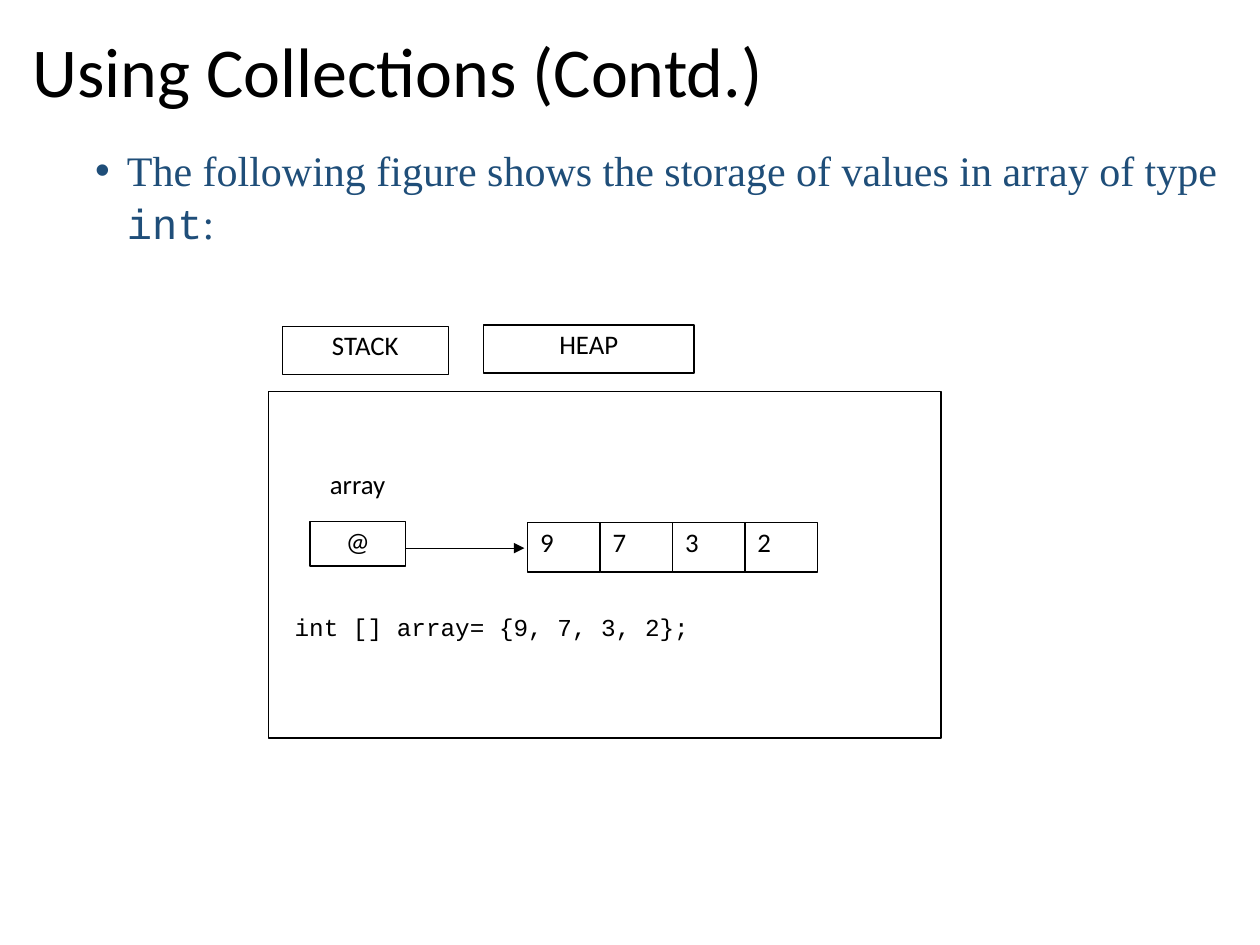
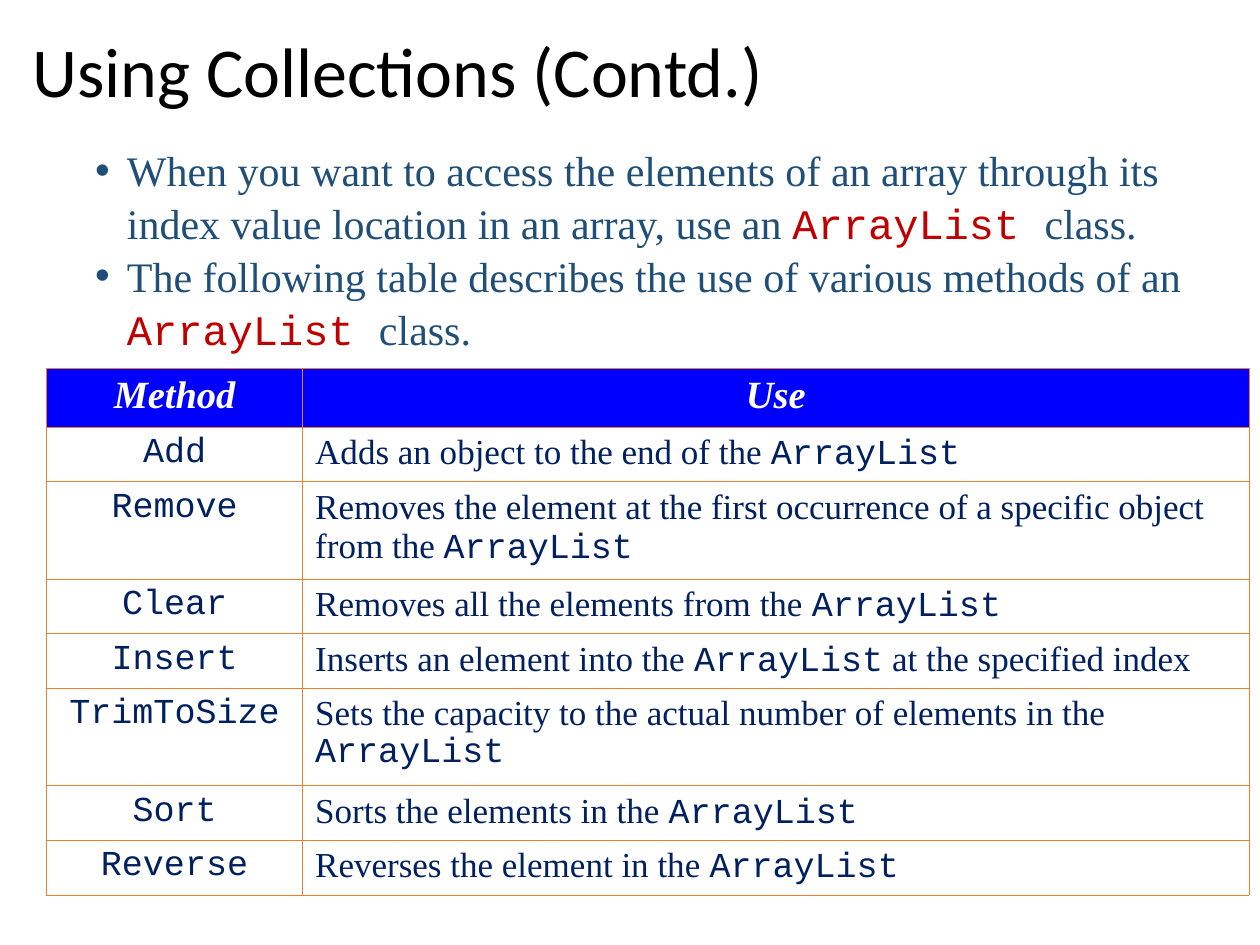
import lxml.etree
import pptx
import pptx.dml.color
import pptx.enum.shapes
import pptx.enum.text
import pptx.oxml.ns
import pptx.util

Cm = pptx.util.Cm
Pt = pptx.util.Pt
ALIGN = pptx.enum.text.PP_ALIGN
ANCHOR = pptx.enum.text.MSO_ANCHOR
qn = pptx.oxml.ns.qn

BLACK, WHITE, NAVY = "000000", "FFFFFF", "002060"
STEEL, RED, BLUE, ORANGE = "1F4E79", "C00000", "0000FF", "ED7D31"
SANS, SERIF, MONO = "Calibri", "Times New Roman", "Courier New"

TITLE = {"name": SANS, "size": Pt(40), "color": BLACK}
BODY = {"name": SERIF, "size": Pt(24), "color": STEEL}
LABEL = {"name": SANS, "size": Pt(15.3), "color": BLACK}
CODE = {"name": MONO, "size": Pt(13.9), "color": BLACK}
HEADER = {"name": SERIF, "size": Pt(22), "color": WHITE, "bold": True, "italic": True}
CELL = {"name": SERIF, "size": Pt(20), "color": NAVY}

METHODS = [
    ("Add", "Adds an object to the end of the `ArrayList`"),
    ("Remove", "Removes the element at the first occurrence of a specific object from the `ArrayList`"),
    ("Clear", "Removes all the elements from the `ArrayList`"),
    ("Insert", "Inserts an element into the `ArrayList` at the specified index"),
    ("TrimToSize", "Sets the capacity to the actual number of elements in the `ArrayList`"),
    ("Sort", "Sorts the elements in the `ArrayList`"),
    ("Reverse", "Reverses the element in the `ArrayList`"),
]
TALL_ROWS = ("Remove", "TrimToSize")


def rgb(value):
    return pptx.dml.color.RGBColor.from_string(value)


def set_values(target, values):
    for name, value in values.items():
        setattr(target, name, value)


class Deck:
    """Hold the shared style and the current slide, and draw each kind of element."""

    def __init__(self):
        self.presentation = pptx.Presentation()
        set_values(self.presentation, {"slide_width": Cm(25.4), "slide_height": Cm(19.05)})
        self.slide = None

    def add_slide(self, title):
        self.slide = self.presentation.slides.add_slide(self.presentation.slide_layouts[6])
        frame = self.text_box(0.41, 0.28, 24.74, 2.46, ANCHOR.MIDDLE)
        self.add_runs(frame.paragraphs[0], title, TITLE, {"line_spacing": 0.9})

    def text_box(self, left, top, width, height, anchor=ANCHOR.TOP):
        shape = self.slide.shapes.add_textbox(Cm(left), Cm(top), Cm(width), Cm(height))
        set_values(shape.text_frame, {"word_wrap": True, "vertical_anchor": anchor})
        return shape.text_frame

    def add_runs(self, paragraph, text, style, layout, code_style=None):
        set_values(paragraph, layout)
        for index, part in enumerate(text.split("`")):
            if not part:
                continue
            run = paragraph.add_run()
            run.text = part
            values = {**style, **(code_style or {"name": MONO})} if index % 2 else dict(style)
            run.font.color.rgb = rgb(values.pop("color"))
            set_values(run.font, values)

    def bullets(self, texts, code_style=None):
        frame = self.text_box(0.41, 2.74, 24.74, 15.93)
        for index, text in enumerate(texts):
            paragraph = frame.add_paragraph() if index else frame.paragraphs[0]
            properties = paragraph._p.get_or_add_pPr()
            set_values(paragraph, {"line_spacing": 1.05})
            properties.set("marL", str(Cm(1.9)))
            properties.set("indent", str(Cm(-0.64)))
            color = lxml.etree.SubElement(properties, qn("a:buClr"))
            lxml.etree.SubElement(color, qn("a:srgbClr"), val=STEEL)
            lxml.etree.SubElement(properties, qn("a:buFont"), typeface="Arial")
            lxml.etree.SubElement(properties, qn("a:buChar"), char="•")
            self.add_runs(paragraph, text, BODY, {}, code_style)

    def box(self, left, top, width, height, text="", style=LABEL,
            align=ALIGN.CENTER, outlined=True, spacing=0.9):
        shape = self.slide.shapes.add_shape(
            pptx.enum.shapes.MSO_SHAPE.RECTANGLE, Cm(left), Cm(top), Cm(width), Cm(height))
        shape.shadow.inherit = False
        shape.fill.solid()
        shape.fill.fore_color.rgb = rgb(WHITE)
        if outlined:
            self.outline(shape)
        else:
            shape.line.fill.background()
        set_values(shape.text_frame, {"word_wrap": True, "vertical_anchor": ANCHOR.TOP})
        self.add_runs(shape.text_frame.paragraphs[0], text, style,
                      {"alignment": align, "line_spacing": spacing})

    def outline(self, shape):
        shape.line.color.rgb = rgb(BLACK)
        shape.line.width = Pt(0.75)

    def arrow(self, left, right, height):
        connector = self.slide.shapes.add_connector(
            pptx.enum.shapes.MSO_CONNECTOR.STRAIGHT, Cm(left), Cm(height), Cm(right), Cm(height))
        self.outline(connector)
        lxml.etree.SubElement(connector.line._get_or_add_ln(), qn("a:tailEnd"), type="triangle")
        lxml.etree.SubElement(connector._element.spPr, qn("a:effectLst"))

    def table(self, left, top, widths, heights, rows):
        table = self.slide.shapes.add_table(
            len(rows), len(widths), Cm(left), Cm(top), Cm(sum(widths)), Cm(sum(heights))).table
        set_values(table, {"first_row": False, "horz_banding": False})
        for column, width in zip(table.columns, widths):
            column.width = Cm(width)
        for row_index, (row, height, texts) in enumerate(zip(table.rows, heights, rows)):
            row.height = Cm(height)
            for column_index, (cell, text) in enumerate(zip(row.cells, texts)):
                header = row_index == 0
                centred = header or column_index == 0
                self.borders(cell)
                cell.fill.solid()
                cell.fill.fore_color.rgb = rgb(BLUE if header else WHITE)
                self.add_runs(cell.text_frame.paragraphs[0], text, HEADER if header else CELL,
                              {"alignment": ALIGN.CENTER if centred else ALIGN.LEFT})

    def borders(self, cell):
        properties = cell._tc.get_or_add_tcPr()
        for side in ("lnL", "lnR", "lnT", "lnB"):
            line = lxml.etree.SubElement(properties, qn(f"a:{side}"), w=str(Pt(0.45)))
            fill = lxml.etree.SubElement(line, qn("a:solidFill"))
            lxml.etree.SubElement(fill, qn("a:srgbClr"), val=ORANGE)


def add_array_slide(deck):
    deck.add_slide("Using Collections (Contd.)")
    deck.bullets(["The following figure shows the storage of values in array of type `int`:"])
    deck.box(5.41, 7.9, 13.56, 6.98)
    deck.box(5.69, 6.58, 3.35, 0.97, "STACK")
    deck.box(9.75, 6.55, 4.24, 0.97, "HEAP")
    for index, value in enumerate("9732"):
        deck.box(10.64 + 1.46 * index, 10.54, 1.46, 0.99, value, align=ALIGN.LEFT)
    deck.box(5.99, 9.37, 2.44, 0.99, "array", outlined=False)
    deck.arrow(7.92, 10.57, 11.05)
    deck.box(6.25, 10.52, 1.93, 0.89, "@")
    deck.box(5.69, 12.34, 10.77, 0.86, "int [] array= {9, 7, 3, 2};", CODE,
             ALIGN.LEFT, outlined=False, spacing=0.8)


def add_methods_slide(deck):
    deck.add_slide("Using Collections (Contd.)")
    deck.bullets([
        "When you want to access the elements of an array through its index value location "
        "in an array, use an `ArrayList `class.",
        "The following table describes the use of various methods of an `ArrayList `class.",
    ], {"name": MONO, "color": RED})
    heights = [1.19] + [1.96 if name in TALL_ROWS else 1.09 for name, use in METHODS]
    rows = [("Method", "Use")] + [(f"`{name}`", use) for name, use in METHODS]
    deck.table(0.94, 7.42, [5.16, 19.08], heights, rows)


def main():
    deck = Deck()
    add_array_slide(deck)
    add_methods_slide(deck)
    deck.presentation.save("out.pptx")


if __name__ == "__main__":
    main()
